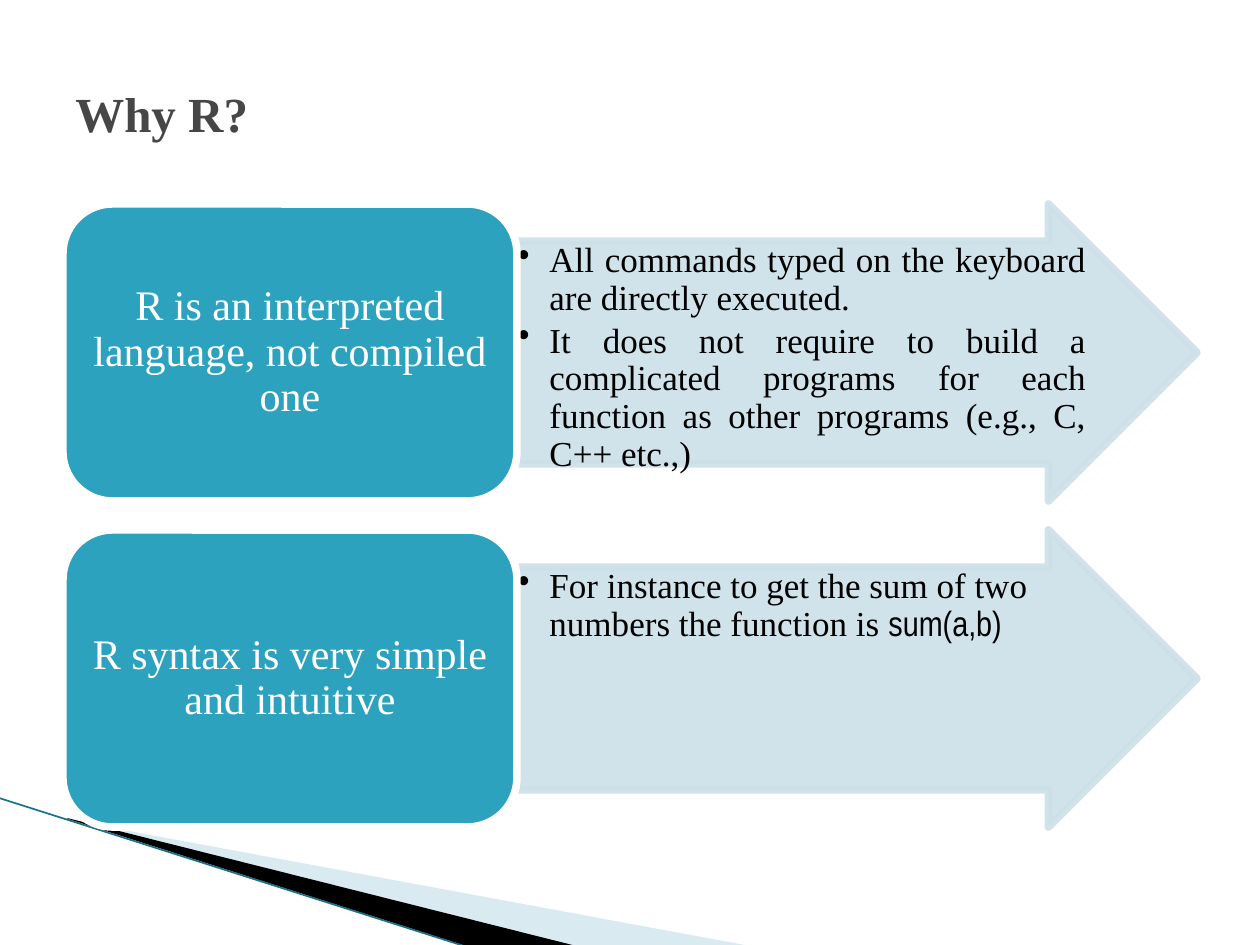
from lxml import etree
from pptx import Presentation
from pptx.dml.color import RGBColor
from pptx.enum.shapes import MSO_CONNECTOR as Connector, MSO_SHAPE as Shape
from pptx.enum.text import MSO_ANCHOR as Anchor, PP_ALIGN as Align
from pptx.oxml.ns import qn
from pptx.util import Emu, Pt

SCALE = 914400 // 126
COLORS = {
    "teal": "2DA2BF", "arrow": "CDE0E8", "pale": "A0CBDC", "edge": "1B6F86",
    "title": "464646", "black": "000000", "white": "FFFFFF",
}
SERIF = "Times New Roman"
NARROW = "Arial Narrow"
ROW_TOP, ROW_PITCH, ROW_HEIGHT = 204, 326, 297
LABEL_LEFT, LABEL_WIDTH = 63, 454
ARROW_LEFT, ARROW_WIDTH = LABEL_LEFT + LABEL_WIDTH, 680
ROWS = [
    ("R is an interpreted language, not compiled one", Align.JUSTIFY, [
        [("All commands typed on the keyboard are directly executed.", SERIF)],
        [("It does not require to build a complicated programs for each "
          "function as other programs (e.g., C, C++ etc.,)", SERIF)],
    ]),
    ("R syntax is very simple and intuitive", Align.LEFT, [
        [("For instance to get the sum of two numbers the function is ", SERIF),
         ("sum(a,b)", NARROW)],
    ]),
]


def px(value):
    return Emu(round(value * SCALE))


def rgb(name):
    return RGBColor.from_string(COLORS[name])


def set_alpha(color_format_parent, percent):
    for color in color_format_parent.iter(qn("a:srgbClr")):
        alpha = etree.SubElement(color, qn("a:alpha"))
        alpha.set("val", str(percent * 1000))


def format_run(run, size, color, font=SERIF, bold=False):
    run.font.name = font
    run.font.size = Pt(size)
    run.font.bold = bold
    run.font.color.rgb = rgb(color)


def add_wedge(slide, points, color, opacity=100):
    builder = slide.shapes.build_freeform(*points[0], scale=SCALE)
    builder.add_line_segments(points[1:], close=True)
    shape = builder.convert_to_shape()
    shape.shadow.inherit = False
    shape.fill.solid()
    shape.fill.fore_color.rgb = rgb(color)
    shape.line.fill.background()
    if opacity < 100:
        set_alpha(shape.element.spPr, opacity)


def add_edge(slide, start, end):
    line = slide.shapes.add_connector(
        Connector.STRAIGHT, *map(px, start), *map(px, end))
    line.line.color.rgb = rgb("edge")
    line.line.width = Pt(0.95)
    etree.SubElement(line.element.spPr, qn("a:effectLst"))


def add_block(slide, kind, box, fill, line, opacity=100):
    shape = slide.shapes.add_shape(kind, *map(px, box))
    shape.shadow.inherit = False
    shape.fill.solid()
    shape.fill.fore_color.rgb = rgb(fill)
    shape.line.color.rgb = rgb(line)
    shape.line.width = Pt(4.33)
    if opacity < 100:
        set_alpha(shape.element.spPr, opacity)
    etree.SubElement(shape.line._get_or_add_ln(), qn("a:round"))
    return shape


def add_text_frame(slide, box, anchor, inset=None):
    text_frame = slide.shapes.add_textbox(*map(px, box)).text_frame
    text_frame.word_wrap = True
    text_frame.vertical_anchor = anchor
    if inset is not None:
        text_frame.margin_left = text_frame.margin_right = px(inset)
        text_frame.margin_top = text_frame.margin_bottom = px(inset)
    return text_frame


def add_line_of_text(slide, box, text, size, color, align, bold=False):
    text_frame = add_text_frame(slide, box, Anchor.MIDDLE)
    text_frame.text = text
    paragraph = text_frame.paragraphs[0]
    paragraph.alignment = align
    paragraph.line_spacing = 0.9
    format_run(paragraph.runs[0], size, color, bold=bold)


def set_bullet(paragraph):
    properties = paragraph._p.get_or_add_pPr()
    properties.set("marL", "228600")
    properties.set("indent", "-228600")
    etree.SubElement(properties, qn("a:buChar")).set("char", "•")


def add_bullets(slide, box, items, align):
    text_frame = add_text_frame(slide, box, Anchor.TOP, inset=1)
    for index, item in enumerate(items):
        paragraph = text_frame.add_paragraph() if index else text_frame.paragraphs[0]
        paragraph.alignment = align
        paragraph.line_spacing = 0.9
        paragraph.space_after = Pt(3)
        set_bullet(paragraph)
        for text, font in item:
            run = paragraph.add_run()
            run.text = text
            format_run(run, 20, "black", font)


def add_row(slide, top, label, align, items):
    add_block(slide, Shape.RIGHT_ARROW, (ARROW_LEFT, top, ARROW_WIDTH, ROW_HEIGHT),
              "arrow", "arrow", opacity=90).adjustments[0] = 0.75
    add_bullets(slide, (ARROW_LEFT, top + 37, 570, 223), items, align)
    add_block(slide, Shape.ROUNDED_RECTANGLE,
              (LABEL_LEFT, top, LABEL_WIDTH, ROW_HEIGHT), "teal", "white")
    add_line_of_text(slide, (LABEL_LEFT + 15, top + 15, LABEL_WIDTH - 30, ROW_HEIGHT - 30),
                     label, 24, "white", Align.CENTER)


def main():
    presentation = Presentation()
    presentation.slide_width = px(1260)
    presentation.slide_height = px(945)
    slide = presentation.slides.add_slide(presentation.slide_layouts[6])
    add_wedge(slide, [(69, 820), (750, 946), (575, 946), (69, 819)], "pale", 40)
    add_wedge(slide, [(67, 818), (576, 946), (469, 947), (68, 819)], "black")
    add_edge(slide, (-1, 798), (467, 947))
    for index, (label, align, items) in enumerate(ROWS):
        add_row(slide, ROW_TOP + index * ROW_PITCH, label, align, items)
    add_line_of_text(slide, (63, 38, 1134, 158), "Why R?", 28, "title", Align.LEFT, bold=True)
    presentation.save("out.pptx")


main()
